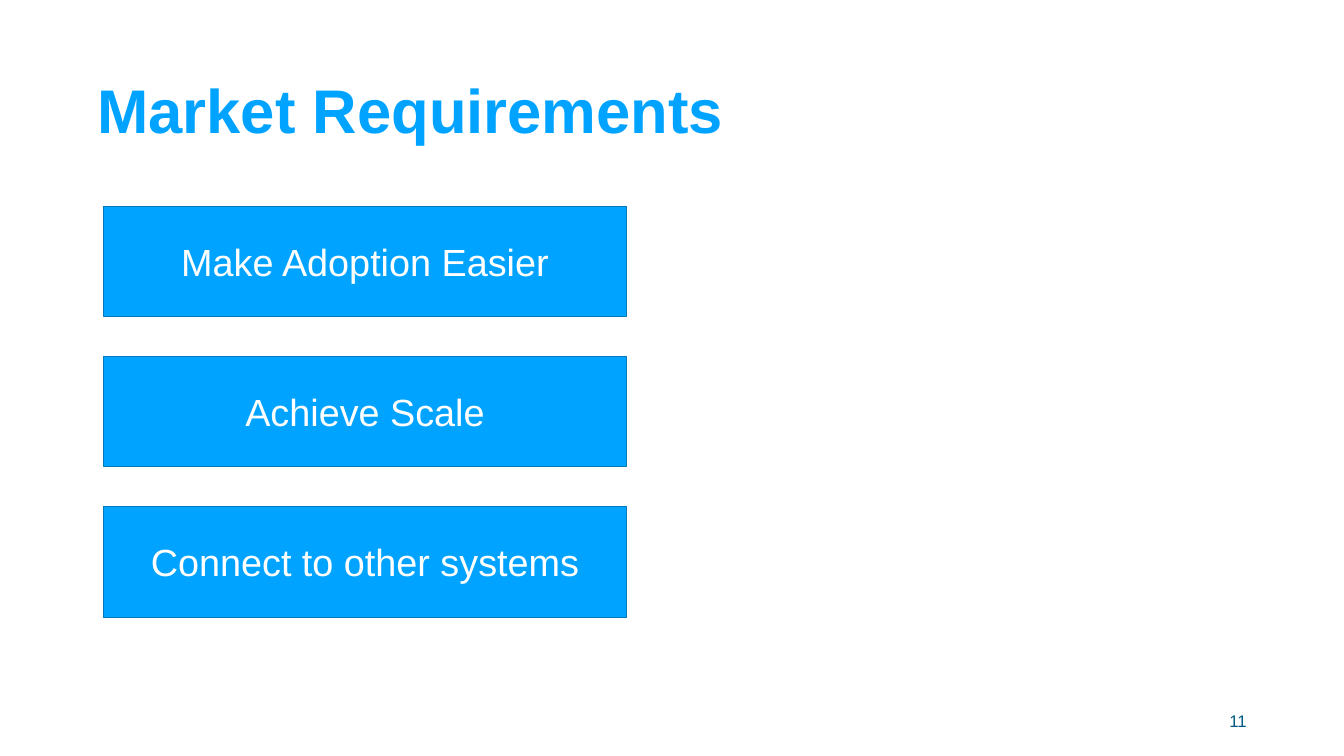
import pptx
import pptx.util
import pptx.dml.color
import pptx.enum.shapes
import pptx.enum.text

Cm = pptx.util.Cm
Pt = pptx.util.Pt
Align = pptx.enum.text.PP_ALIGN

HUES = {
    "sky": "00A3FF",
    "edge": "0079BD",
    "navy": "005A83",
    "white": "FFFFFF",
}
NEEDS = ["Make Adoption Easier", "Achieve Scale", "Connect to other systems"]


def tint(name):
    return pptx.dml.color.RGBColor.from_string(HUES[name])


def write(shape, text, size, hue, bold=False, align=Align.LEFT, lines=1.0):
    frame = shape.text_frame
    frame.word_wrap = True
    frame.auto_size = pptx.enum.text.MSO_AUTO_SIZE.NONE
    frame.vertical_anchor = pptx.enum.text.MSO_ANCHOR.MIDDLE
    para = frame.paragraphs[0]
    para.alignment = align
    para.line_spacing = lines
    run = para.add_run()
    run.text = text
    run.font.name = "Arial"
    run.font.size = Pt(size)
    run.font.bold = bold
    run.font.color.rgb = tint(hue)


def add_title(slide, text):
    title = slide.shapes.title
    title.left, title.top = Cm(4.65), Cm(2.03)
    title.width, title.height = Cm(58.42), Cm(7.37)
    write(title, text, size=88, hue="sky", bold=True, lines=0.9)


def add_need(slide, text, top):
    box = slide.shapes.add_shape(
        pptx.enum.shapes.MSO_SHAPE.RECTANGLE, Cm(5.23), Cm(top), Cm(26.34), Cm(5.56)
    )
    box.shadow.inherit = False
    box.fill.solid()
    box.fill.fore_color.rgb = tint("sky")
    box.line.color.rgb = tint("edge")
    box.line.width = Pt(1)
    write(box, text, size=54, hue="white", align=Align.CENTER)


def add_page(slide, text):
    box = slide.shapes.add_textbox(Cm(47.85), Cm(35.31), Cm(15.24), Cm(2.03))
    write(box, text, size=24, hue="navy", align=Align.RIGHT)


def main():
    deck = pptx.Presentation()
    deck.slide_width, deck.slide_height = Cm(67.74), Cm(38.1)
    slide = deck.slides.add_slide(deck.slide_layouts[5])
    slide.background.fill.solid()
    slide.background.fill.fore_color.rgb = tint("white")
    add_title(slide, "Market Requirements")
    add_page(slide, "11")
    for row, need in enumerate(NEEDS):
        add_need(slide, need, top=10.39 + row * 7.57)
    deck.save("out.pptx")


if __name__ == "__main__":
    main()
